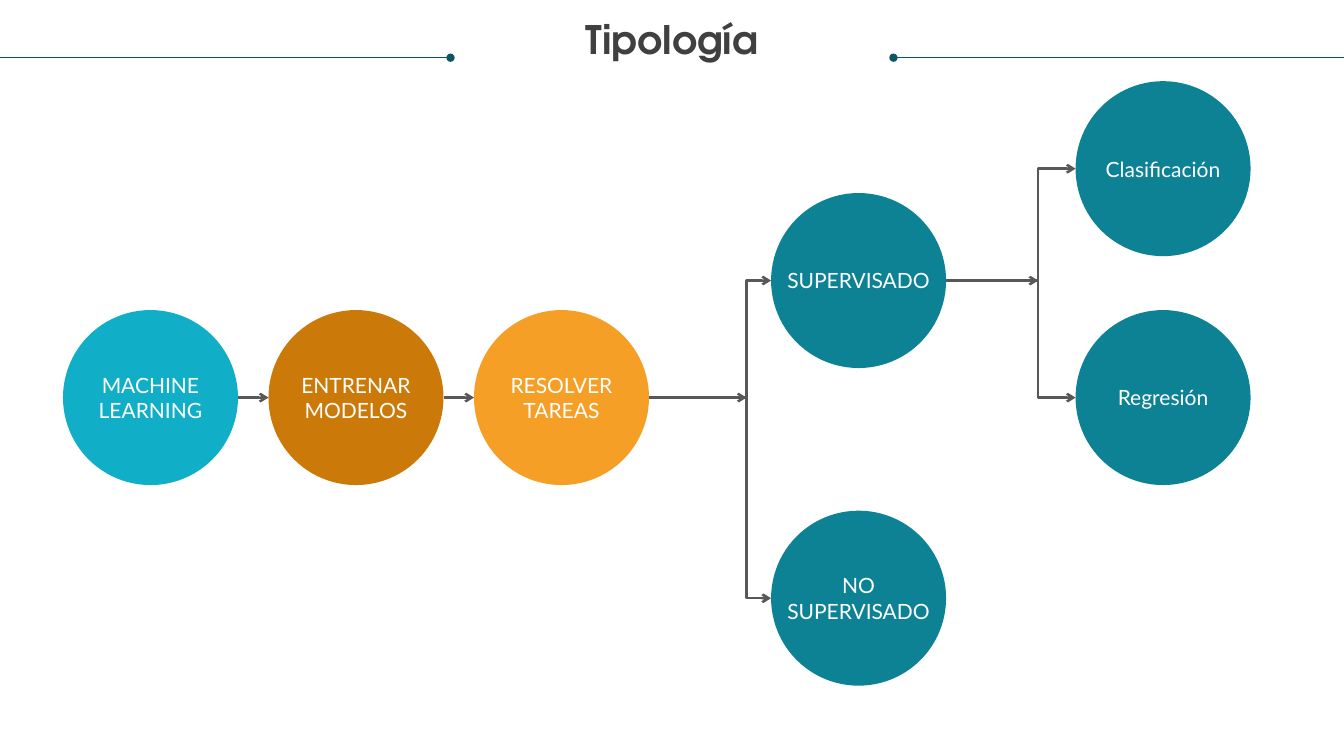
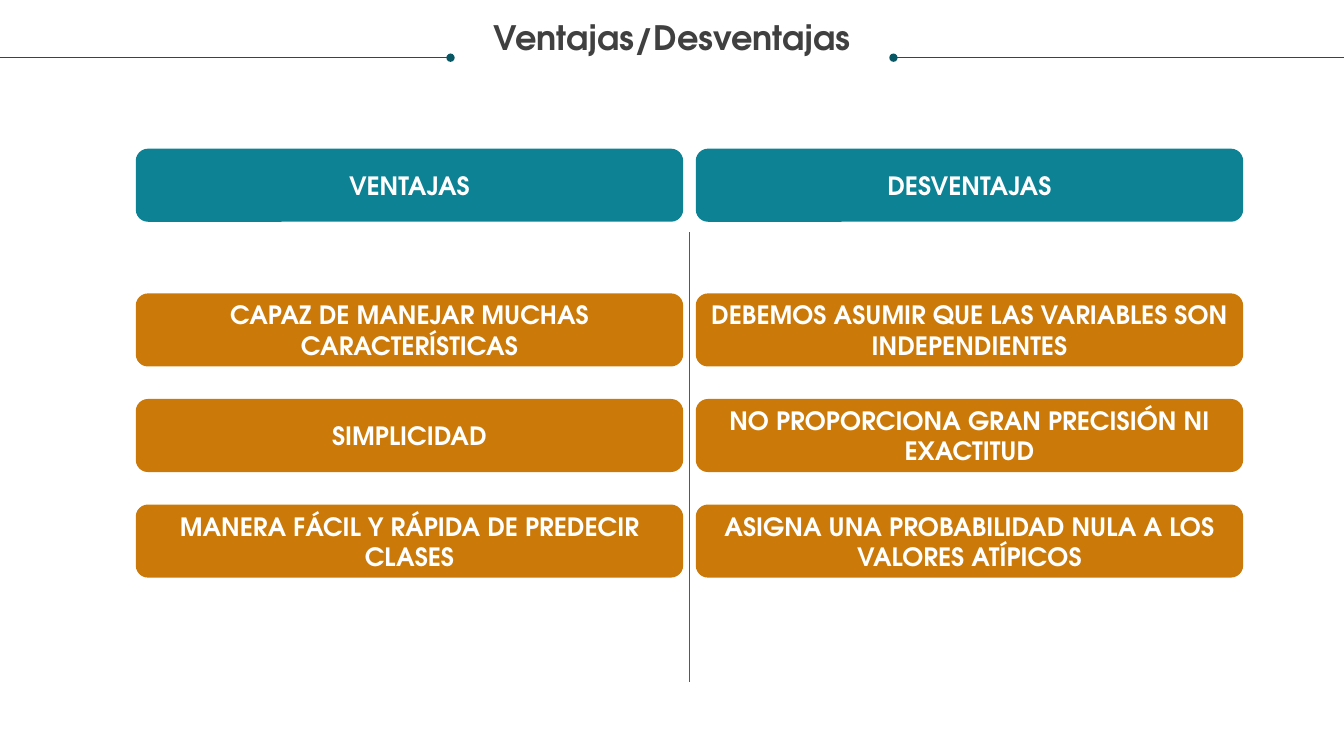
from dataclasses import dataclass

from lxml import etree
from pptx import Presentation
from pptx.dml.color import RGBColor
from pptx.enum import shapes, text
from pptx.oxml.ns import qn
from pptx.util import Pt


@dataclass(frozen=True)
class Theme:
    title_font: str = "TeX Gyre Adventor"
    body_font: str = "Lato"
    title_color: str = "404040"
    rule: str = "085764"
    arrow: str = "585858"
    white: str = "FFFFFF"
    cyan: str = "11AEC7"
    teal: str = "0D8295"
    brown: str = "CB7A09"
    orange: str = "F59F26"
    label_size: float = 15
    card_size: float = 18
    thin: float = 0.5
    thick: float = 1.75


THEME = Theme()
PAGE_WIDTH, PAGE_HEIGHT = 960, 540


@dataclass(frozen=True)
class Box:
    left: float
    top: float
    width: float
    height: float

    @property
    def right(self):
        return self.left + self.width

    @property
    def middle(self):
        return self.top + self.height / 2

    def lengths(self):
        return [Pt(v) for v in (self.left, self.top, self.width, self.height)]


def write(frame, wording, font, size, color, bold=False):
    """Fill the frame with one centred paragraph; newlines become line breaks."""
    para = frame.paragraphs[0]
    para.text = wording
    para.alignment = text.PP_ALIGN.CENTER
    para.font.name = font
    para.font.size = Pt(size)
    para.font.bold = bold
    para.font.color.rgb = RGBColor.from_string(color)
    return para


def add_solid(page, kind, box, color):
    shape = page.shapes.add_shape(kind, *box.lengths())
    shape.shadow.inherit = False
    shape.fill.solid()
    shape.fill.fore_color.rgb = RGBColor.from_string(color)
    shape.line.fill.background()
    frame = shape.text_frame
    frame.vertical_anchor = text.MSO_ANCHOR.MIDDLE
    return frame


def add_line(page, start, end, color, width, tail=None, bend=None):
    """Draw a connector; bend is the share of its width where an elbow turns."""
    kinds = shapes.MSO_CONNECTOR
    kind = kinds.STRAIGHT if bend is None else kinds.ELBOW
    line = page.shapes.add_connector(kind, *[Pt(v) for v in (*start, *end)])
    line.line.color.rgb = RGBColor.from_string(color)
    line.line.width = Pt(width)
    properties = line._element.spPr
    if tail:
        etree.SubElement(properties.find(qn("a:ln")), qn("a:tailEnd"), type=tail)
    if bend is not None:
        guides = properties.find(qn("a:prstGeom")).get_or_add_avLst()
        etree.SubElement(guides, qn("a:gd"), name="adj1",
                         fmla=f"val {round(bend * 100000)}")
    etree.SubElement(properties, qn("a:effectLst"))


def add_arrow(page, start, end, bend=None):
    add_line(page, start, end, THEME.arrow, THEME.thick, "arrow", bend)


def add_title(page, wording, size):
    """Place the title between two rules that end in dots."""
    rule_top, rule_length = 41.2, 321.8
    for edge, inner in ((0, rule_length), (PAGE_WIDTH, PAGE_WIDTH - rule_length)):
        add_line(page, (edge, rule_top), (inner, rule_top),
                 THEME.rule, THEME.thin, "oval")
    frame = page.shapes.add_textbox(*Box(18, 15, 924, 48).lengths()).text_frame
    frame.word_wrap = True
    frame.margin_left = frame.margin_right = 0
    frame.margin_top = frame.margin_bottom = 0
    para = write(frame, wording, THEME.title_font, size, THEME.title_color, True)
    para.line_spacing = 0.9


def add_circle(page, left, middle, wording, color):
    diameter = 125
    box = Box(left, middle - diameter / 2, diameter, diameter)
    frame = add_solid(page, shapes.MSO_SHAPE.OVAL, box, color)
    frame.word_wrap = False
    write(frame, wording, THEME.body_font, THEME.label_size, THEME.white)
    return box


def add_fork(page, parent, children, fork):
    """Lead from the parent to each child, turning at x = fork."""
    start = (parent.right, parent.middle)
    add_arrow(page, start, (fork, parent.middle))
    for child in children:
        bend = (fork - parent.right) / (child.left - parent.right)
        add_arrow(page, start, (child.left, child.middle), bend)


def add_typology(page, area):
    steps = [("MACHINE\nLEARNING", THEME.cyan),
             ("ENTRENAR\nMODELOS", THEME.brown),
             ("RESOLVER\nTAREAS", THEME.orange)]
    pitch, step_middle = 146.8, area.top + 226
    chain = [add_circle(page, area.left + i * pitch, step_middle, wording, color)
             for i, (wording, color) in enumerate(steps)]
    for before, after in zip(chain, chain[1:]):
        add_arrow(page, (before.right, before.middle), (after.left, after.middle))

    branch_left, leaf_left = area.left + 505.8, area.right - 125
    supervised = add_circle(page, branch_left, area.top + 142.4,
                            "SUPERVISADO", THEME.teal)
    unsupervised = add_circle(page, branch_left, area.top + 369.3,
                              "NO\nSUPERVISADO", THEME.teal)
    leaves = [add_circle(page, leaf_left, middle, wording, THEME.teal)
              for wording, middle in (("Clasificación", area.top + 62.5),
                                      ("Regresión", step_middle))]
    add_fork(page, chain[-1], (supervised, unsupervised), branch_left - 17.5)
    add_fork(page, supervised, leaves, leaf_left - 26.7)


def add_card(page, box, wording, color):
    frame = add_solid(page, shapes.MSO_SHAPE.ROUNDED_RECTANGLE, box, color)
    frame.word_wrap = True
    write(frame, wording, THEME.title_font, THEME.card_size, THEME.white, True)


def add_comparison(page, area, columns):
    """Set headed columns of cards side by side, with rules between them."""
    gap, card_height, first_row, pitch = 9, 52.2, 103.4, 75.4
    width = (area.width - gap * (len(columns) - 1)) / len(columns)
    for i, (heading, cards) in enumerate(columns.items()):
        left = area.left + i * (width + gap)
        add_card(page, Box(left, area.top, width, card_height), heading, THEME.teal)
        for row, wording in enumerate(cards):
            top = area.top + first_row + row * pitch
            add_card(page, Box(left, top, width, card_height), wording, THEME.brown)
        if i:
            divider = left - gap / 2
            add_line(page, (divider, area.top + 59.7),
                     (divider, area.top + area.height), THEME.arrow, THEME.thin)


def main():
    deck = Presentation()
    deck.slide_width, deck.slide_height = Pt(PAGE_WIDTH), Pt(PAGE_HEIGHT)
    blank = deck.slide_layouts[6]

    page = deck.slides.add_slide(blank)
    add_title(page, "Tipología", 28)
    add_typology(page, Box(45, 58, 848.3, 432))

    page = deck.slides.add_slide(blank)
    add_title(page, "Ventajas/Desventajas", 24)
    add_comparison(page, Box(97, 106.2, 791, 380.8), {
        "VENTAJAS": ["CAPAZ DE MANEJAR MUCHAS CARACTERÍSTICAS",
                     "SIMPLICIDAD",
                     "MANERA FÁCIL Y RÁPIDA DE PREDECIR CLASES"],
        "DESVENTAJAS": ["DEBEMOS ASUMIR QUE LAS VARIABLES SON INDEPENDIENTES",
                        "NO PROPORCIONA GRAN PRECISIÓN NI EXACTITUD",
                        "ASIGNA UNA PROBABILIDAD NULA A LOS VALORES ATÍPICOS"],
    })
    deck.save("out.pptx")


if __name__ == "__main__":
    main()
